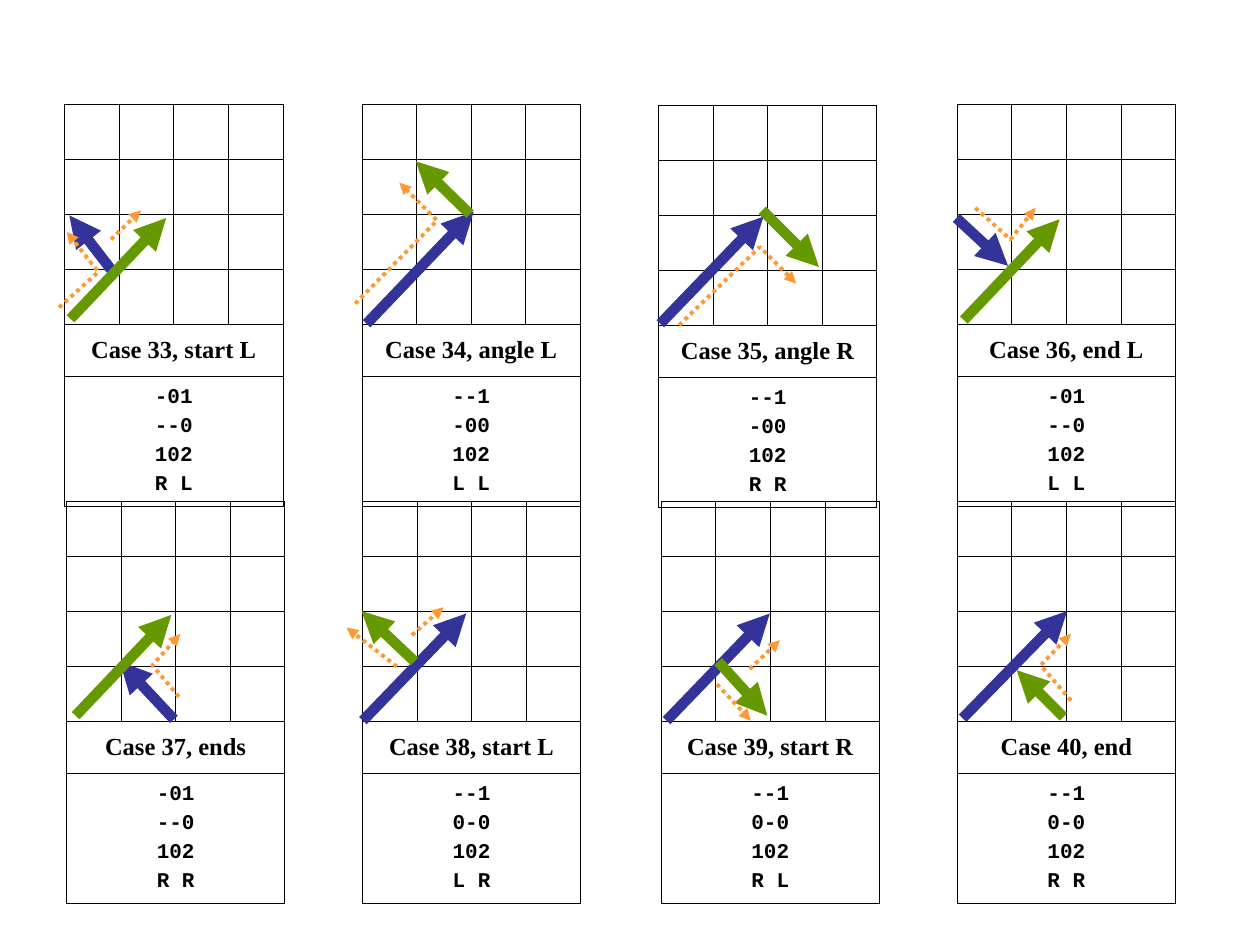
from dataclasses import dataclass, field
from itertools import pairwise
from typing import Any

from lxml import etree
from pptx import Presentation
from pptx import util as u
from pptx.dml.color import RGBColor
from pptx.enum import dml, shapes, text
from pptx.oxml.ns import qn

Point = tuple[float, float]


@dataclass(frozen=True)
class Theme:
    ink: str = "000000"
    first: str = "333399"
    second: str = "669900"
    guide: str = "FF9933"
    title_font: str = "Times New Roman"
    code_font: str = "Courier New"
    title_size: float = 14
    code_size: float = 12
    title_space: float = 3.5
    code_space: float = 3
    border: float = 0.45
    arrow: float = 6
    dotted: float = 2.25


@dataclass(frozen=True)
class Case:
    left: float
    top: float
    title: str
    code: str
    first: list[Point]
    second: list[Point]
    guides: list[list[Point]] = field(default_factory=list)


THEME = Theme()
SLIDE_SIZE = (720, 540)
GRID = 4
COLUMN_WIDTH = 31.2
ROW_HEIGHTS = [31.4] * GRID + [29.9, 74.3]
TOP, LOWER_TOP = 59.7, 286.6

CASES = [
    Case(36.9, TOP, "Case 33, start L", "-01 --0 102 R_L",
         [(64.1, 154.8), (39.6, 123.1)], [(40.3, 182.2), (95, 124.6)],
         [[(33.8, 175.7), (56.2, 155.5), (38.2, 132.5)], [(63.4, 136.8), (80.6, 120.2)]]),
    Case(206.9, TOP, "Case 34, angle L", "--1 -00 102 L_L",
         [(209.5, 185), (270.7, 121)], [(268.6, 122.4), (237.6, 92.2)],
         [[(203, 173.5), (249.8, 126), (228.2, 104.4)]]),
    Case(376.3, 60.3, "Case 35, angle R", "--1 -00 102 R_R",
         [(377.3, 185), (436.3, 123.8)], [(435.6, 120.2), (468, 152.6)],
         [[(388.1, 185.8), (434.2, 141.1), (455, 162)]]),
    Case(547, TOP, "Case 36, end L", "-01 --0 102 L_L",
         [(546.5, 124.6), (576, 151.9)], [(550.8, 182.9), (605.5, 125.3)],
         [[(557.3, 118.8), (577.4, 136.8), (591.8, 118.8)]]),
    Case(38, LOWER_TOP, "Case 37, ends", "-01 --0 102 R_R",
         [(99.4, 411.1), (68.4, 378)], [(43.2, 409), (97.9, 351.4)],
         [[(102.2, 398.2), (87.1, 380.2), (103, 362.2)]]),
    Case(207.1, LOWER_TOP, "Case 38, start L", "--1 0-0 102 L_R",
         [(207.4, 411.8), (266.4, 350.6)], [(236.9, 378), (206.6, 349.2)],
         [[(226.8, 380.9), (198, 358.6)], [(235.4, 362.9), (253.4, 347)]]),
    Case(377.8, LOWER_TOP, "Case 39, start R", "--1 0-0 102 R_L",
         [(380.9, 411.8), (439.9, 350.6)], [(410.4, 378), (438.5, 409)],
         [[(409.7, 391), (429.1, 411.8)], [(428.4, 382.3), (445.7, 365.8)]]),
    Case(547, LOWER_TOP, "Case 40, end", "--1 0-0 102 R_R",
         [(550.1, 410.4), (609.8, 349.2)], [(607.7, 409.7), (581, 383)],
         [[(612, 400.3), (594.7, 380.2), (612, 362.2)]]),
]


def apply(target: Any, values: dict[str, Any]) -> None:
    for name, value in values.items():
        setattr(target, name, value)


def style_cell(cell: Any) -> None:
    properties = cell._tc.get_or_add_tcPr()
    for side in ("a:lnL", "a:lnR", "a:lnT", "a:lnB"):
        border = etree.SubElement(properties, qn(side), w=str(u.Pt(THEME.border)))
        fill = etree.SubElement(border, qn("a:solidFill"))
        etree.SubElement(fill, qn("a:srgbClr"), val=THEME.ink)
    cell.fill.background()


def write_lines(cell: Any, lines: list[str], font: str, size: float, space: float) -> None:
    cell.vertical_anchor = text.MSO_ANCHOR.MIDDLE
    cell.text = "\n".join(lines)
    for paragraph in cell.text_frame.paragraphs:
        apply(paragraph, {"alignment": text.PP_ALIGN.CENTER, "space_before": u.Pt(space)})
        for run in paragraph.runs:
            apply(run.font, {"name": font, "size": u.Pt(size), "bold": True})
            run.font.color.rgb = RGBColor.from_string(THEME.ink)


def draw_table(slide: Any, case: Case) -> None:
    frame = slide.shapes.add_table(
        len(ROW_HEIGHTS), GRID, u.Pt(case.left), u.Pt(case.top),
        u.Pt(COLUMN_WIDTH * GRID), u.Pt(sum(ROW_HEIGHTS)))
    table = frame.table
    apply(table, {"first_row": False, "horz_banding": False})
    for column in table.columns:
        column.width = u.Pt(COLUMN_WIDTH)
    for row, height in zip(table.rows, ROW_HEIGHTS):
        row.height = u.Pt(height)
    for cell in table.iter_cells():
        style_cell(cell)
    for row in (GRID, GRID + 1):
        table.cell(row, 0).merge(table.cell(row, GRID - 1))
    write_lines(table.cell(GRID, 0), [case.title],
                THEME.title_font, THEME.title_size, THEME.title_space)
    code_lines = [line.replace("_", " ") for line in case.code.split()]
    write_lines(table.cell(GRID + 1, 0), code_lines,
                THEME.code_font, THEME.code_size, THEME.code_space)


def draw_arrow(slide: Any, points: list[Point], color: str, width: float,
               dash: Any = None) -> None:
    corners = [(u.Pt(x), u.Pt(y)) for x, y in points]
    if len(corners) == 2:
        start, end = corners
        shape = slide.shapes.add_connector(shapes.MSO_CONNECTOR.STRAIGHT, *start, *end)
    else:
        builder = slide.shapes.build_freeform(*corners[0])
        builder.add_line_segments(corners[1:], close=False)
        shape = builder.convert_to_shape()
        shape.fill.background()
    shape.line.color.rgb = RGBColor.from_string(color)
    apply(shape.line, {"width": u.Pt(width), "dash_style": dash})
    properties = shape._element.spPr
    etree.SubElement(properties.find(qn("a:ln")), qn("a:tailEnd"), type="triangle")
    etree.SubElement(properties, qn("a:effectLst"))


def main() -> None:
    presentation = Presentation()
    width, height = SLIDE_SIZE
    apply(presentation, {"slide_width": u.Pt(width), "slide_height": u.Pt(height)})
    slide = presentation.slides.add_slide(presentation.slide_layouts[6])
    for case in CASES:
        draw_table(slide, case)
    for case in CASES:
        draw_arrow(slide, case.first, THEME.first, THEME.arrow)
        draw_arrow(slide, case.second, THEME.second, THEME.arrow)
        for guide in case.guides:
            draw_arrow(slide, guide, THEME.guide, THEME.dotted, dml.MSO_LINE.ROUND_DOT)
    presentation.save("out.pptx")


if __name__ == "__main__":
    main()
